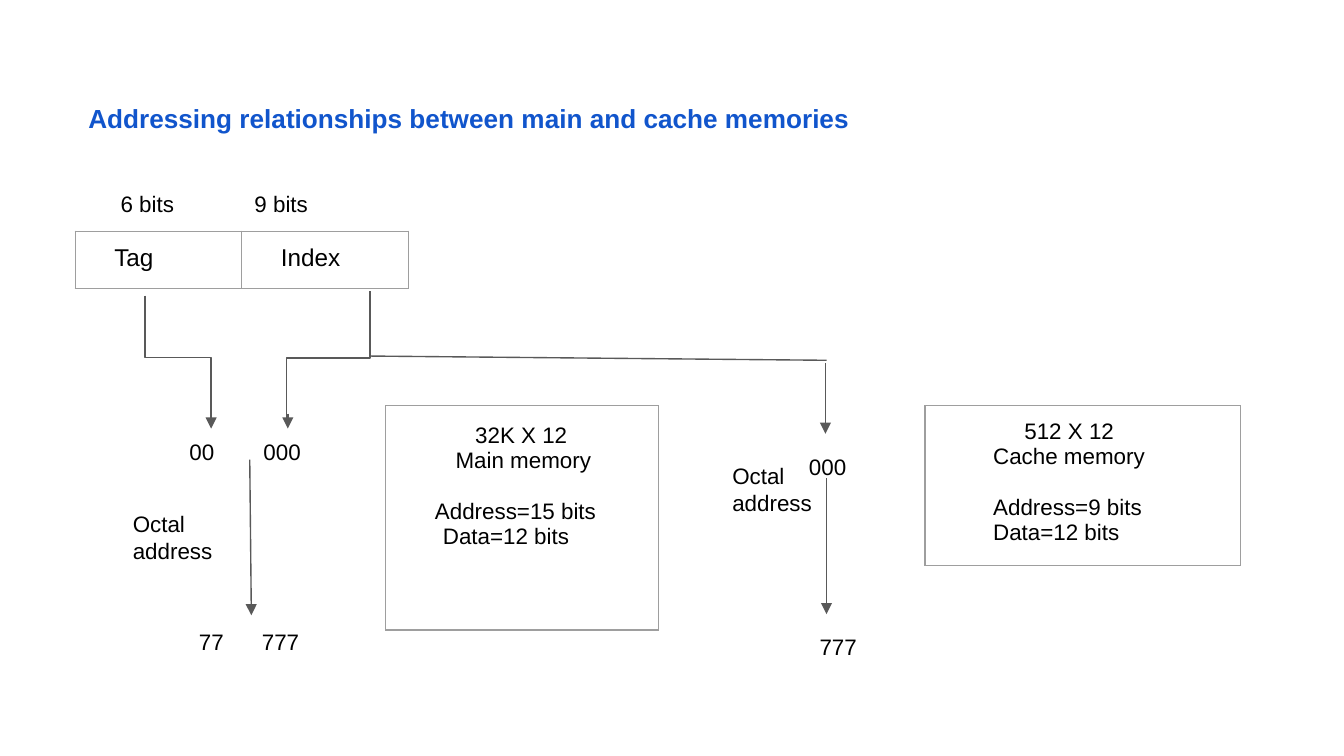
"""Build a slide on the addressing relationships between main and cache memories."""
from lxml.etree import SubElement
from pptx import Presentation
from pptx.dml.color import RGBColor
from pptx.enum.shapes import MSO_CONNECTOR as Connector
from pptx.oxml.ns import qn
from pptx.util import Cm, Pt

BLACK = RGBColor(0x00, 0x00, 0x00)
BLUE = RGBColor(0x11, 0x55, 0xCC)
DARK_GRAY = RGBColor(0x59, 0x59, 0x59)
BORDER_GRAY = RGBColor(0x9E, 0x9E, 0x9E)
INSET = Cm(0.25)
LINE_WIDTH = Pt(0.75)
LABEL_FONT = {"name": "Arial", "size": Pt(12), "bold": False}
TITLE_FONT = {"name": "Arial", "size": Pt(14), "bold": True}
FIELD_FONT = {"name": "Arial", "size": Pt(13), "bold": False}
MARGINS = {f"margin_{side}": INSET for side in ("left", "top", "right", "bottom")}


def apply_format(target, values):
    for name, value in values.items():
        setattr(target, name, value)


def add_text(paragraph, text, font=LABEL_FONT, color=BLACK):
    run = paragraph.add_run()
    run.text = text
    apply_format(run.font, font)
    run.font.color.rgb = color


def add_label(slide, left, top, width, lines, height=1.02, font=LABEL_FONT, color=BLACK, tab=None):
    frame = slide.shapes.add_textbox(Cm(left), Cm(top), Cm(width), Cm(height)).text_frame
    apply_format(frame, {**MARGINS, "word_wrap": True})
    for number, line in enumerate(lines):
        paragraph = frame.add_paragraph() if number else frame.paragraphs[0]
        add_text(paragraph, line, font, color)
        if tab:
            tab_list = SubElement(paragraph._p.get_or_add_pPr(), qn("a:tabLst"))
            SubElement(tab_list, qn("a:tab"), pos=str(Cm(tab)), algn="l")


def add_borders(cell):
    properties = cell._tc.get_or_add_tcPr()
    for side in "LRTB":
        line = SubElement(properties, qn(f"a:ln{side}"), w=str(LINE_WIDTH))
        fill = SubElement(line, qn("a:solidFill"))
        SubElement(fill, qn("a:srgbClr"), val=str(BORDER_GRAY))


def fill_cell(cell, lines, font):
    """Write (text, indent, space before) lines into a bordered cell."""
    add_borders(cell)
    cell.fill.background()
    apply_format(cell, MARGINS)
    frame = cell.text_frame
    for number, (text, indent, space) in enumerate(lines):
        paragraph = frame.add_paragraph() if number else frame.paragraphs[0]
        paragraph._p.get_or_add_pPr().set("marL", str(Cm(indent)))
        paragraph.space_before = Pt(space)
        add_text(paragraph, text, font)


def add_grid(slide, left, top, column_width, height, cells, font=LABEL_FONT):
    count = len(cells)
    table = slide.shapes.add_table(
        1, count, Cm(left), Cm(top), Cm(column_width * count), Cm(height)).table
    apply_format(table, {"first_row": False, "horz_banding": False})
    for cell, lines in zip(table.rows[0].cells, cells):
        fill_cell(cell, lines, font)
    return table


def add_line(slide, start, end, arrow=False, kind=Connector.STRAIGHT):
    connector = slide.shapes.add_connector(kind, *map(Cm, start + end))
    apply_format(connector.line, {"width": LINE_WIDTH})
    connector.line.color.rgb = DARK_GRAY
    if arrow:
        SubElement(connector.line._get_or_add_ln(), qn("a:tailEnd"), type="triangle")
    SubElement(connector._element.spPr, qn("a:effectLst"))
    return connector


def add_elbow(slide, start, end):
    """Add a bent connector that leaves downwards, as a quarter-turned elbow."""
    (x1, y1), (x2, y2) = start, end
    middle_x, middle_y = (x1 + x2) / 2, (y1 + y2) / 2
    sign = 1 if x2 > x1 else -1
    half_run, half_rise = sign * (y2 - y1) / 2, abs(x2 - x1) / 2
    connector = add_line(slide, (middle_x + half_run, middle_y - half_rise),
                         (middle_x - half_run, middle_y + half_rise), kind=Connector.ELBOW)
    degrees = 270 if sign > 0 else 90
    connector._element.spPr.find(qn("a:xfrm")).set("rot", str(degrees * 60000))


def add_tables(slide):
    add_grid(slide, 1.42, 4.37, 3.15, 1.09,
             [[("Tag", 0.49, 0)], [("Index", 0.49, 0)]], FIELD_FONT)
    main_memory = add_grid(slide, 7.29, 7.67, 5.16, 4.24, [[
        ("32K X 12", 1.44, 0), ("Main memory", 1.07, 0),
        ("Address=15 bits", 0.68, 13.8), ("Data=12 bits", 0.83, 0)]])
    main_memory.cell(0, 0).margin_top = Cm(0.33)
    add_grid(slide, 17.48, 7.67, 5.97, 2.39, [[
        ("512 X 12", 1.63, 0), ("Cache memory", 1.04, 0),
        ("Address=9 bits", 1.04, 13.8), ("Data=12 bits", 1.04, 0)]])


def add_lines(slide):
    add_elbow(slide, (2.74, 5.59), (3.99, 7.92))
    add_elbow(slide, (6.99, 5.51), (5.41, 8.03))
    add_line(slide, (6.99, 6.73), (15.62, 6.81))
    for start, end in (
        ((3.99, 7.67), (3.99, 8.1)),
        ((5.44, 7.82), (5.44, 8.1)),
        ((15.6, 6.86), (15.6, 8.2)),
        ((4.72, 8.69), (4.75, 11.63)),
        ((15.62, 9.04), (15.62, 11.61)),
    ):
        add_line(slide, start, end, arrow=True)


def add_labels(slide):
    add_label(slide, 2.03, 3.35, 5.89, ["6 bits\t9 bits"], tab=2.53)
    add_label(slide, 3.33, 8.03, 2.82, ["00\t000"], tab=1.4)
    add_label(slide, 3.51, 11.63, 4.19, ["77\t777"], tab=1.19)
    add_label(slide, 15.04, 8.31, 2.03, ["000"])
    add_label(slide, 15.24, 11.71, 2.69, ["777"])
    for left, top in ((2.26, 9.4), (13.59, 8.48)):
        add_label(slide, left, top, 2.1, ["Octal", "address"], height=1.55)


def main():
    presentation = Presentation()
    apply_format(presentation, {"slide_width": Cm(25.4), "slide_height": Cm(14.29)})
    slide = presentation.slides.add_slide(presentation.slide_layouts[6])
    add_label(slide, 1.42, 1.68, 16.69,
              ["Addressing relationships between main and cache memories"],
              height=1.12, font=TITLE_FONT, color=BLUE)
    add_tables(slide)
    add_lines(slide)
    add_labels(slide)
    presentation.save("out.pptx")


if __name__ == "__main__":
    main()
